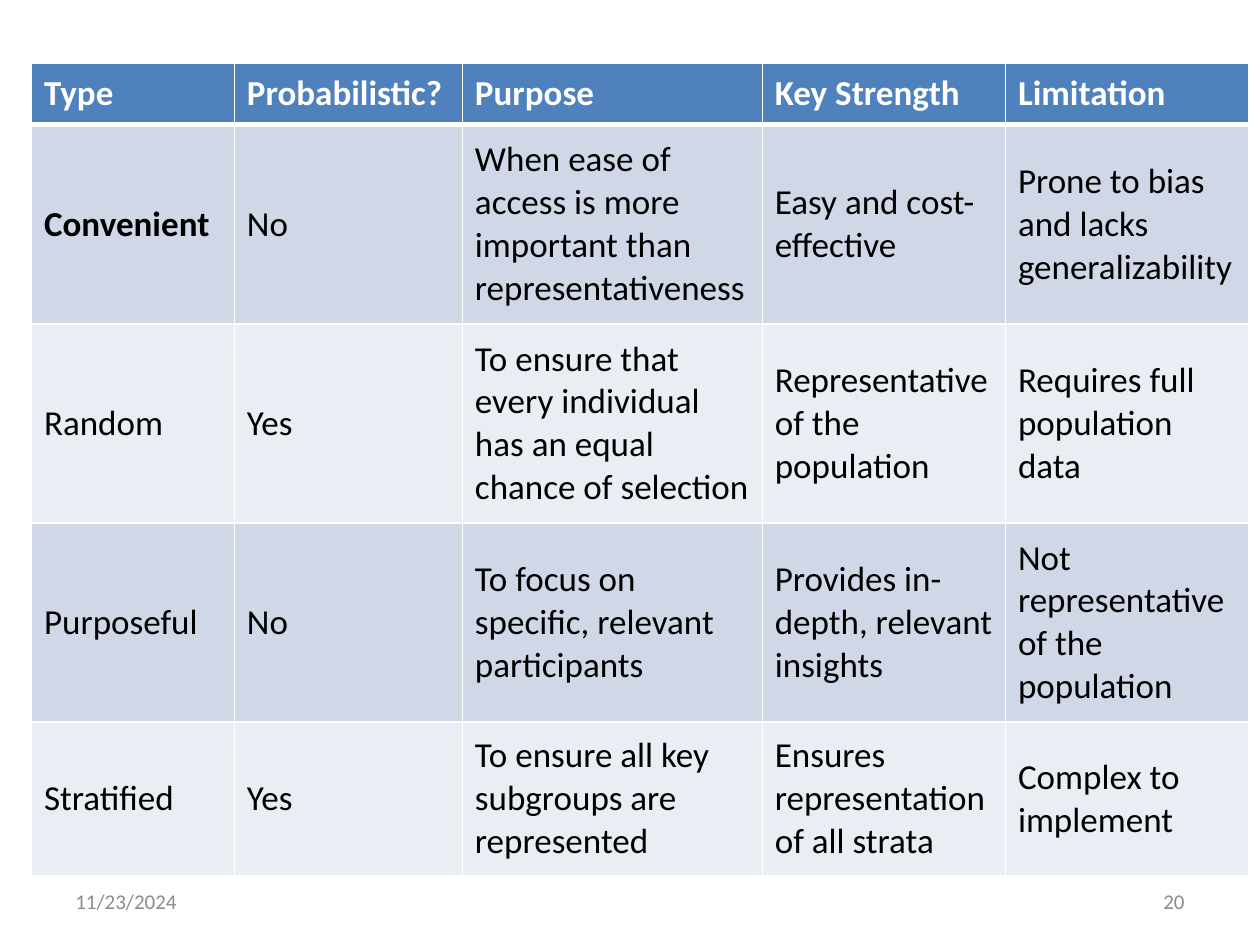
from lxml.etree import SubElement
from pptx import Presentation
from pptx.dml.color import RGBColor
from pptx.enum.text import MSO_ANCHOR as Anchor, PP_ALIGN as Align
from pptx.oxml.ns import qn
from pptx.util import Inches, Pt

FONT = "Calibri"
WHITE = RGBColor(0xFF, 0xFF, 0xFF)
BLACK = RGBColor(0x00, 0x00, 0x00)
GREY = RGBColor(0x8C, 0x8C, 0x8C)
HEADER_BLUE = RGBColor(0x4F, 0x81, 0xBD)
BANDS = (RGBColor(0xE9, 0xED, 0xF4), RGBColor(0xD0, 0xD8, 0xE8))

COLUMN_WIDTHS = (1.61, 1.81, 2.38, 1.93, 1.93)
ROW_HEIGHTS = (0.49, 1.58, 1.58, 1.58, 1.22)
SAMPLING_TYPES = (
    ("Type", "Probabilistic?", "Purpose", "Key Strength", "Limitation"),
    ("Convenient", "No",
     "When ease of access is more important than representativeness",
     "Easy and cost-effective", "Prone to bias and lacks generalizability"),
    ("Random", "Yes",
     "To ensure that every individual has an equal chance of selection",
     "Representative of the population", "Requires full population data"),
    ("Purposeful", "No", "To focus on specific, relevant participants",
     "Provides in-depth, relevant insights",
     "Not representative of the population"),
    ("Stratified", "Yes", "To ensure all key subgroups are represented",
     "Ensures representation of all strata", "Complex to implement"),
)


def format_text(para, size, color, bold=False):
    for span in para.runs:
        span.font.name = FONT
        span.font.size = Pt(size)
        span.font.color.rgb = color
        span.font.bold = bold


def set_borders(cell, **widths):
    """Draw white borders; widths are points keyed by side (L, R, T, B)."""
    properties = cell._tc.get_or_add_tcPr()
    for side, width in widths.items():
        line = SubElement(properties, qn(f"a:ln{side}"), w=str(Pt(width)))
        fill = SubElement(line, qn("a:solidFill"))
        SubElement(fill, qn("a:srgbClr"), val=str(WHITE))


def add_comparison_table(page, left, top, width, height):
    frame = page.shapes.add_table(len(ROW_HEIGHTS), len(COLUMN_WIDTHS),
                                  left, top, width, height)
    table = frame.table
    table.horz_banding = False
    for column, share in zip(table.columns, COLUMN_WIDTHS):
        column.width = int(width * share / sum(COLUMN_WIDTHS))
    for row, share in zip(table.rows, ROW_HEIGHTS):
        row.height = int(height * share / sum(ROW_HEIGHTS))

    for r, texts in enumerate(SAMPLING_TYPES):
        header = r == 0
        for c, text in enumerate(texts):
            cell = table.cell(r, c)
            # The line under the header is thicker than the rest
            set_borders(cell, L=1, R=1, T=3 if r == 1 else 1,
                        B=3 if header else 1)
            cell.fill.solid()
            cell.fill.fore_color.rgb = HEADER_BLUE if header else BANDS[r % 2]
            cell.vertical_anchor = Anchor.MIDDLE
            cell.text_frame.text = text
            format_text(cell.text_frame.paragraphs[0], 20,
                        WHITE if header else BLACK,
                        bold=header or text == "Convenient")


def add_footer(page, left, top, width, height):
    box_width = Inches(2.33)
    for text, x, align in (("11/23/2024", left, Align.LEFT),
                           ("20", left + width - box_width, Align.RIGHT)):
        box = page.shapes.add_textbox(x, top, box_width, height)
        box.text_frame.word_wrap = True
        box.text_frame.vertical_anchor = Anchor.MIDDLE
        box.text_frame.text = text
        para = box.text_frame.paragraphs[0]
        para.alignment = align
        format_text(para, 12, GREY)


def main():
    deck = Presentation()
    deck.slide_width, deck.slide_height = Inches(10), Inches(7.5)
    page = deck.slides.add_slide(deck.slide_layouts[6])

    # Comparison of sampling types
    add_comparison_table(page, Inches(0.25), Inches(0.5),
                         Inches(sum(COLUMN_WIDTHS)), Inches(sum(ROW_HEIGHTS)))
    # Date and page number
    add_footer(page, Inches(0.5), Inches(6.95), Inches(9), Inches(0.4))
    deck.save("out.pptx")


if __name__ == "__main__":
    main()
